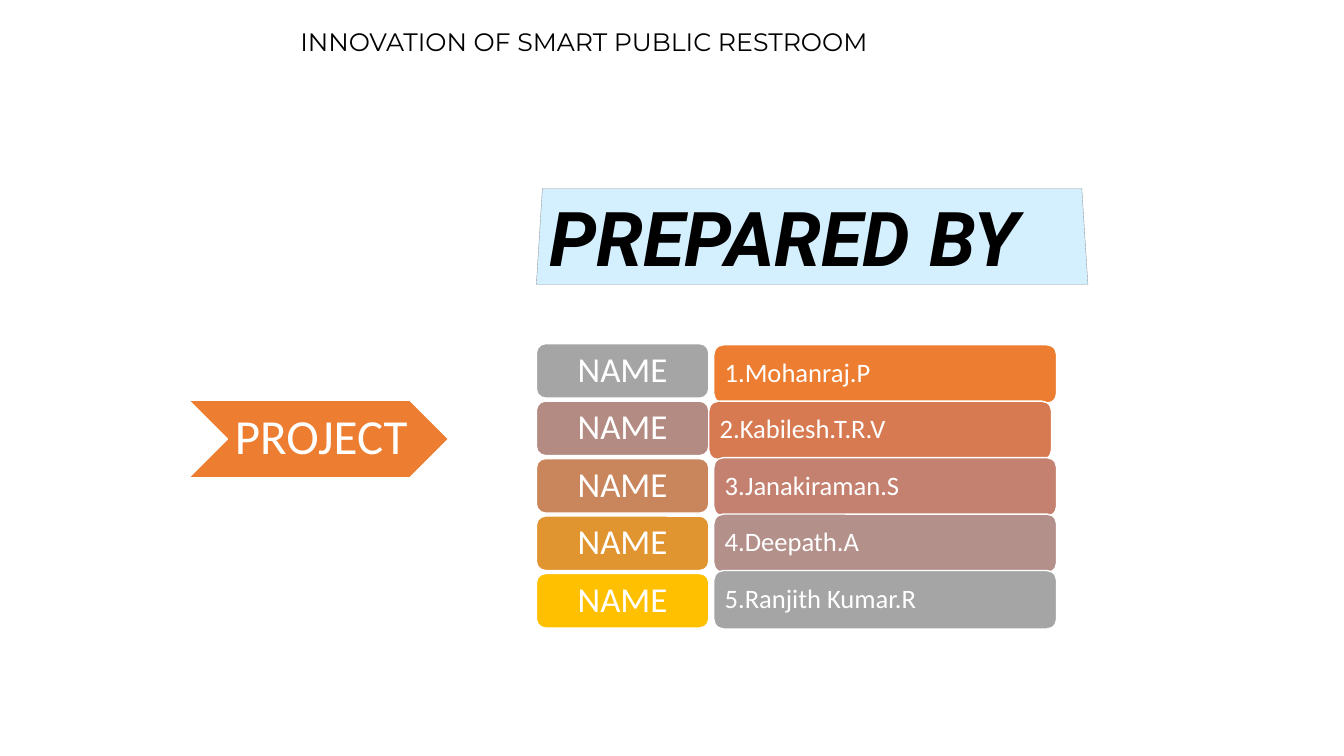
"""Build the team slide for the smart public restroom project."""
from dataclasses import dataclass
from pptx import Presentation
from pptx.dml.color import RGBColor
from pptx.enum.shapes import MSO_SHAPE
from pptx.enum.text import MSO_ANCHOR, PP_ALIGN
from pptx.util import Inches, Pt


@dataclass(frozen=True)
class Theme:
    ink: str = "000000"
    white: str = "FFFFFF"
    accent: str = "ED7D31"
    banner: str = "D4F0FF"
    banner_edge: str = "8C9499"
    labels: tuple = ("A5A5A5", "B48B83", "C9865C", "E19530", "FFC000")
    names: tuple = ("ED7D31", "D87A51", "C48170", "B4908B", "A5A5A5")
    title_size: int = 18
    banner_size: int = 54
    label_size: int = 25
    name_size: int = 19
    project_size: int = 35


theme = Theme()


def write(shape, text, margins, align, spacing, **font):
    """Put one formatted line of text into a shape."""
    frame = shape.text_frame
    frame.word_wrap = True
    frame.vertical_anchor = MSO_ANCHOR.MIDDLE
    for side, margin in zip(("left", "top", "right", "bottom"), margins):
        setattr(frame, f"margin_{side}", Inches(margin))
    para = frame.paragraphs[0]
    para.alignment = align
    para.line_spacing = spacing
    span = para.add_run()
    span.text = text
    span.font.color.rgb = RGBColor.from_string(font.pop("color"))
    for key, value in font.items():
        setattr(span.font, key, value)


def paint(shape, fill, edge, width):
    """Give a shape a flat fill and outline without shadow."""
    shape.shadow.inherit = False
    shape.fill.solid()
    shape.fill.fore_color.rgb = RGBColor.from_string(fill)
    shape.line.color.rgb = RGBColor.from_string(edge)
    shape.line.width = Pt(width)


deck = Presentation()
deck.slide_width, deck.slide_height = Inches(13.33), Inches(7.5)
page = deck.slides.add_slide(deck.slide_layouts[6])

outline = page.shapes.build_freeform(Inches(5.38), Inches(1.87))
outline.add_line_segments(
    [(Inches(x), Inches(y)) for x, y in ((10.73, 1.87), (10.79, 2.82), (5.32, 2.82))],
    close=True,
)
banner = outline.convert_to_shape()
paint(banner, theme.banner, theme.banner_edge, 0.25)
write(banner, "PREPARED BY", (0.13, 0.05, 0.1, 0.05), PP_ALIGN.LEFT, 1.0,
      name="Roboto", size=Pt(theme.banner_size), color=theme.ink, bold=True, italic=True)

blocks = []
for row, color in enumerate(theme.labels):
    blocks.append((MSO_SHAPE.ROUNDED_RECTANGLE, (5.32, 3.41 + 0.57 * row, 1.71, 0.54), color,
                   "NAME", theme.label_size, (0.1, 0.05, 0.1, 0.05), PP_ALIGN.CENTER))
members = ("1.Mohanraj.P", "2.Kabilesh.T.R.V", "3.Janakiraman.S", "4.Deepath.A", "5.Ranjith Kumar.R")
for row, (member, color) in enumerate(zip(members, theme.names)):
    left = 7.03 if row == 1 else 7.08
    blocks.append((MSO_SHAPE.ROUNDED_RECTANGLE, (left, 3.42 + 0.56 * row, 3.4, 0.58), color,
                   member, theme.name_size, (0.08,) * 4, PP_ALIGN.LEFT))
blocks.append((MSO_SHAPE.CHEVRON, (1.87, 3.97, 2.58, 0.77), theme.accent,
               "PROJECT", theme.project_size, (0.05, 0.02, 0, 0.02), PP_ALIGN.CENTER))

for kind, place, color, text, size, margins, align in blocks:
    block = page.shapes.add_shape(kind, *map(Inches, place))
    paint(block, color, theme.white, 1)
    write(block, text, margins, align, 0.9, name="Calibri", size=Pt(size), color=theme.white)

title = page.shapes.add_textbox(*map(Inches, (2.88, 0.21, 6.34, 0.4)))
write(title, "INNOVATION OF SMART PUBLIC RESTROOM", (0.1, 0.05, 0.1, 0.05), PP_ALIGN.LEFT, 1.0,
      name="Montserrat", size=Pt(theme.title_size), color=theme.ink)

deck.save("out.pptx")
